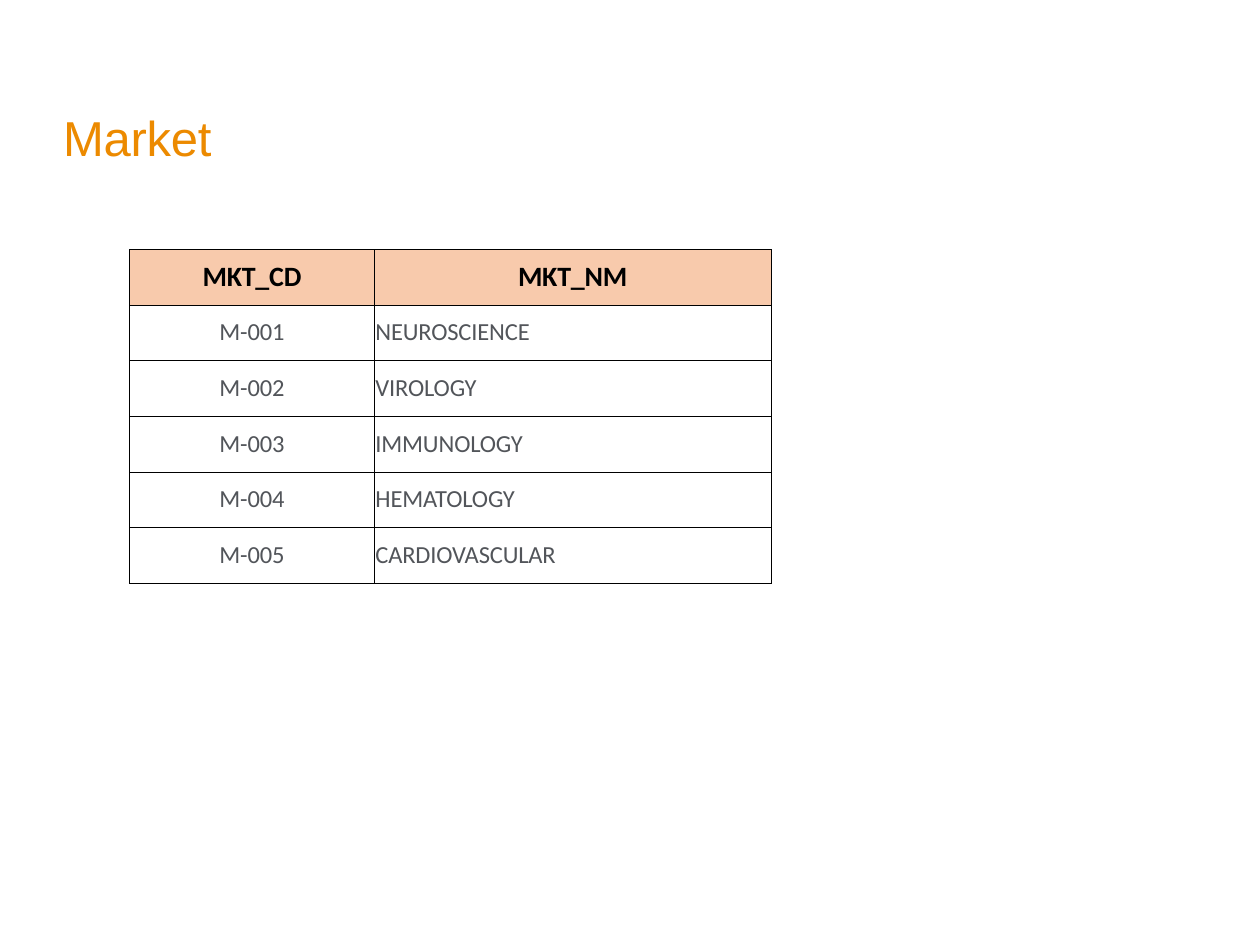
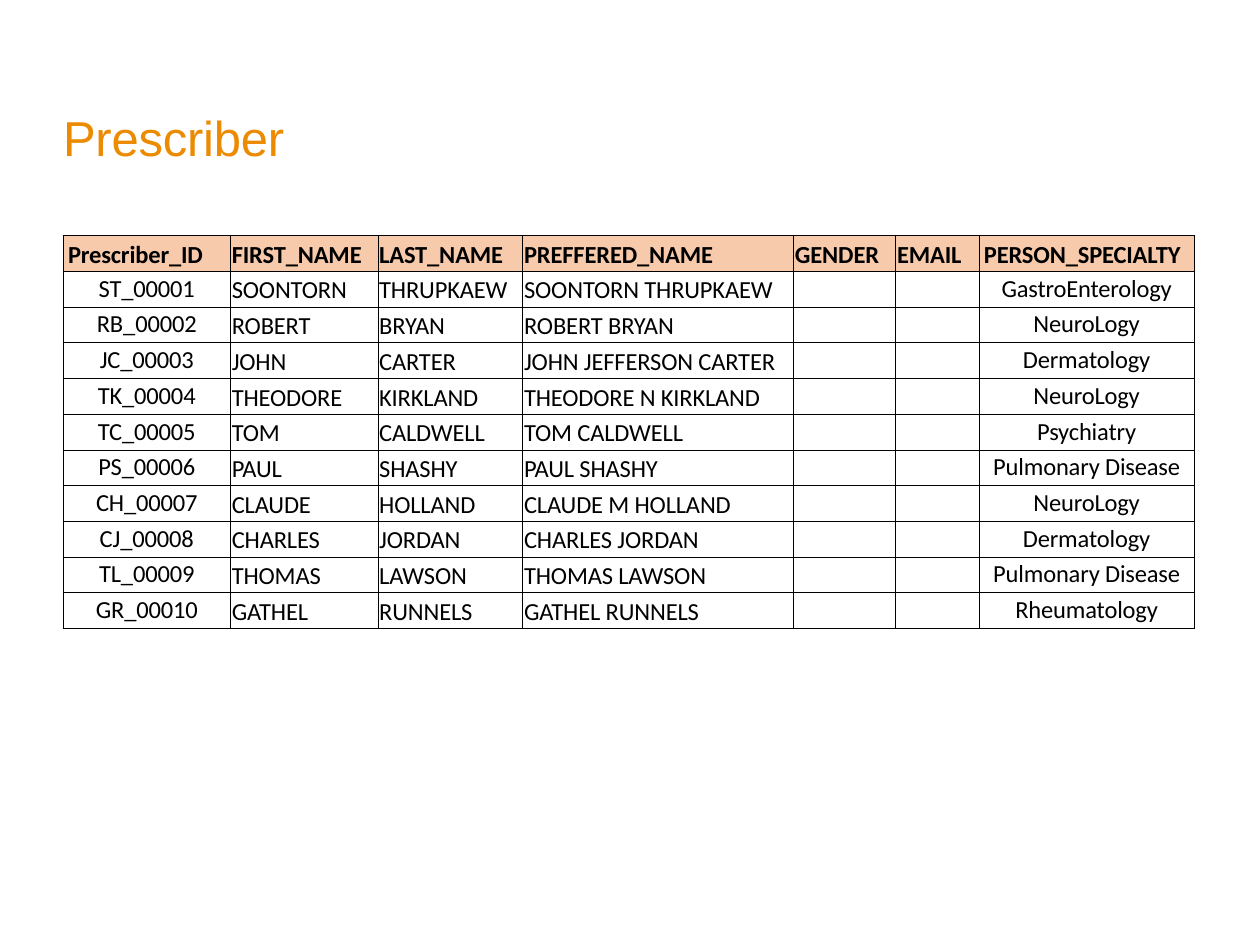
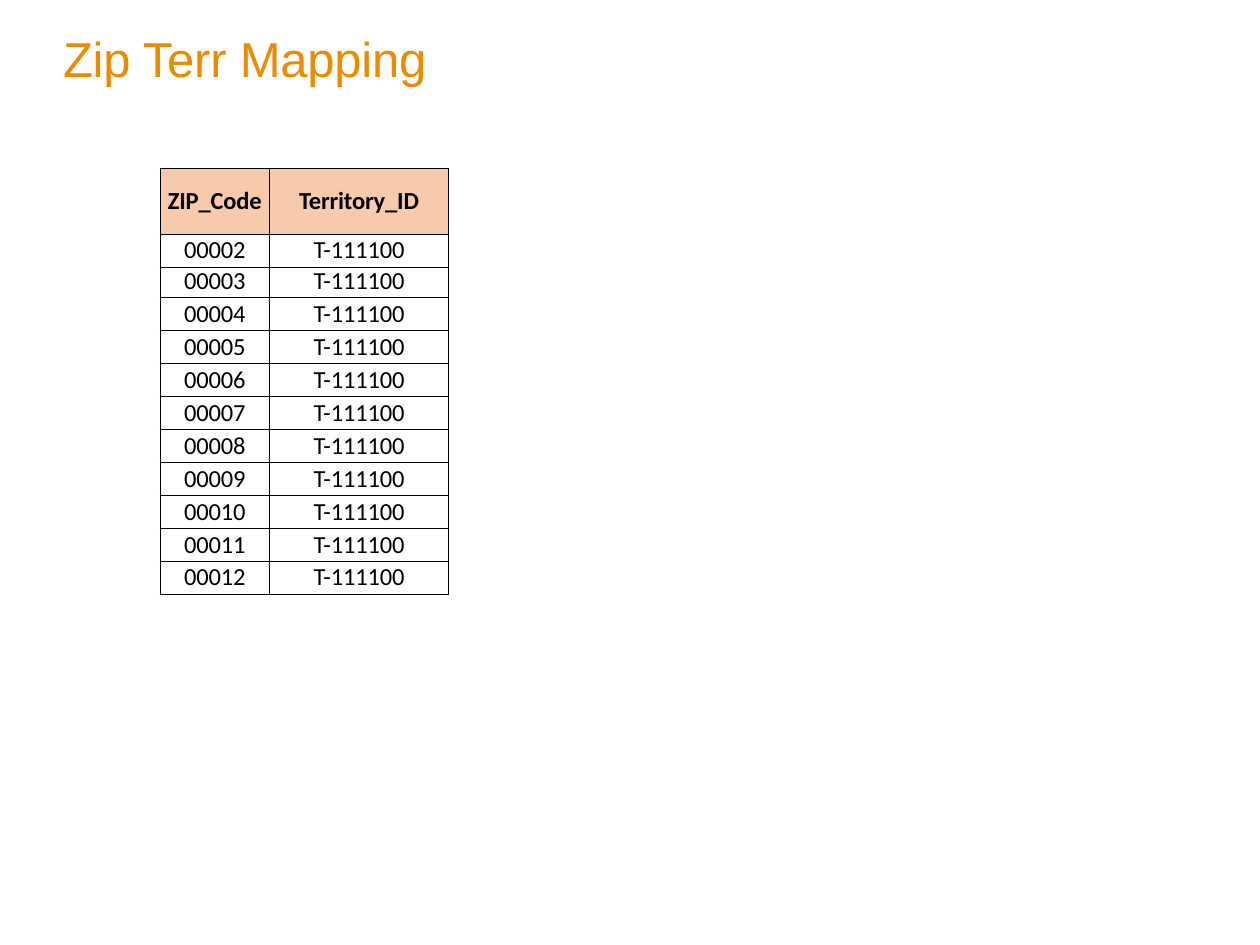
from dataclasses import dataclass, replace
from typing import Optional

from lxml import etree
from pptx import Presentation
from pptx.dml.color import RGBColor
from pptx.enum import text
from pptx.oxml.ns import qn
from pptx.util import Inches, Pt

COLORS = {
    "title": "EC8A00",
    "header": "F8CAAC",
    "cell": "FFFFFF",
    "border": "000000",
    "text": "000000",
    "muted": "52555A",
}
TITLE_ONLY = 5


@dataclass(frozen=True)
class CellStyle:
    top: float
    left: float = 0
    centered: bool = False
    size: int = 14
    color: str = "text"
    bold: bool = False
    fill: str = "cell"
    line_points: Optional[float] = None


class Deck:
    """Holds the shared style and the slide being filled."""

    title_font = "Arial"
    table_font = "Calibri"

    def __init__(self):
        self.presentation = Presentation()
        self.presentation.slide_width = Inches(10)
        self.presentation.slide_height = Inches(7.5)
        self.slide = None

    def color(self, name):
        return RGBColor.from_string(COLORS[name])

    def format_runs(self, paragraph, font, size, color, bold=False):
        for run in paragraph.runs:
            run.font.name = font
            run.font.size = Pt(size)
            run.font.bold = bold
            run.font.color.rgb = self.color(color)
            run.font._element.set("spc", "-10")

    def add_slide(self, title, box=(0.38, 0.45, 5.03, 0.88), left=0.12, top=0.4):
        layout = self.presentation.slide_layouts[TITLE_ONLY]
        self.slide = self.presentation.slides.add_slide(layout)
        shape = self.slide.shapes.title
        shape.left, shape.top, shape.width, shape.height = map(Inches, box)
        frame = shape.text_frame
        frame.text = title
        frame.word_wrap = True
        frame.auto_size = text.MSO_AUTO_SIZE.SHAPE_TO_FIT_TEXT
        frame.vertical_anchor = text.MSO_ANCHOR.TOP
        frame.margin_left, frame.margin_top = Inches(left), Inches(top)
        frame.margin_right = frame.margin_bottom = 0
        paragraph = frame.paragraphs[0]
        paragraph.alignment = text.PP_ALIGN.LEFT
        self.format_runs(paragraph, self.title_font, 28, "title")

    def add_borders(self, cell):
        properties = cell._tc.get_or_add_tcPr()
        for side in ("a:lnL", "a:lnR", "a:lnT", "a:lnB"):
            line = etree.SubElement(properties, qn(side), w=str(Pt(0.5)))
            fill = etree.SubElement(line, qn("a:solidFill"))
            etree.SubElement(fill, qn("a:srgbClr"), val=COLORS["border"])

    def fill_cell(self, cell, content, style):
        self.add_borders(cell)
        cell.fill.solid()
        cell.fill.fore_color.rgb = self.color(style.fill)
        cell.margin_left, cell.margin_top = Inches(style.left), Inches(style.top)
        cell.margin_right = cell.margin_bottom = 0
        cell.vertical_anchor = text.MSO_ANCHOR.TOP
        cell.text_frame.text = content
        paragraph = cell.text_frame.paragraphs[0]
        paragraph.alignment = (
            text.PP_ALIGN.CENTER if style.centered else text.PP_ALIGN.LEFT
        )
        if style.line_points:
            paragraph.line_spacing = Pt(style.line_points)
        self.format_runs(
            paragraph, self.table_font, style.size, style.color, style.bold
        )
        if not content:
            etree.SubElement(
                paragraph._p, qn("a:endParaRPr"), sz=str(style.size * 100)
            )

    def add_table(self, position, height, widths, rows, header, body,
                  row_styles=None, fixed_heights=None):
        """Style by column; rows without a fixed height share what is left."""
        row_styles = row_styles or {}
        fixed_heights = fixed_heights or {}
        left, top = position
        table = self.slide.shapes.add_table(
            len(rows), len(widths), Inches(left), Inches(top),
            Inches(sum(widths)), Inches(height),
        ).table
        table.first_row = table.horz_banding = False
        for column, width in zip(table.columns, widths):
            column.width = Inches(width)
        free_height = height - sum(fixed_heights.values())
        shared = free_height / (len(rows) - len(fixed_heights))
        for index, values in enumerate(rows):
            table.rows[index].height = Inches(fixed_heights.get(index, shared))
            styles = row_styles.get(index, body if index else header)
            for column, (value, style) in enumerate(zip(values, styles)):
                self.fill_cell(table.cell(index, column), value, style)


def add_market(deck):
    deck.add_slide("Market")
    names = ["NEUROSCIENCE", "VIROLOGY", "IMMUNOLOGY", "HEMATOLOGY", "CARDIOVASCULAR"]
    rows = [("MKT_CD", "MKT_NM")]
    rows += [(f"M-{number:03}", name) for number, name in enumerate(names, 1)]
    header = CellStyle(0.08, centered=True, size=16, bold=True, fill="header")
    code = CellStyle(0.1, centered=True, color="muted")
    name = replace(code, centered=False, left=0.01)
    deck.add_table((1.03, 1.98), 2.65, [1.94, 3.15], rows, [header] * 2, [code, name])


def add_prescriber(deck):
    deck.add_slide("Prescriber")
    people = [
        ("ST", "SOONTORN", "", "THRUPKAEW", "GastroEnterology"),
        ("RB", "ROBERT", "", "BRYAN", "NeuroLogy"),
        ("JC", "JOHN", "JEFFERSON", "CARTER", "Dermatology"),
        ("TK", "THEODORE", "N", "KIRKLAND", "NeuroLogy"),
        ("TC", "TOM", "", "CALDWELL", "Psychiatry"),
        ("PS", "PAUL", "", "SHASHY", "Pulmonary Disease"),
        ("CH", "CLAUDE", "M", "HOLLAND", "NeuroLogy"),
        ("CJ", "CHARLES", "", "JORDAN", "Dermatology"),
        ("TL", "THOMAS", "", "LAWSON", "Pulmonary Disease"),
        ("GR", "GATHEL", "", "RUNNELS", "Rheumatology"),
    ]
    rows = [("Prescriber_ID", "FIRST_NAME", "LAST_NAME", "PREFFERED_NAME",
             "GENDER", "EMAIL", "PERSON_SPECIALTY")]
    for number, (initials, first, middle, last, specialty) in enumerate(people, 1):
        preferred = " ".join(filter(None, (first, middle, last)))
        rows.append((f"{initials}_{number:05}", first, last, preferred,
                     "", "", specialty))
    plain = CellStyle(0.04, left=0.01, line_points=16.6)
    header = replace(plain, bold=True, fill="header")
    outer_header = replace(header, left=0.04)
    outer = CellStyle(0.02, centered=True)
    deck.add_table(
        (0.5, 1.87), 3.12, [1.33, 1.17, 1.15, 2.15, 0.81, 0.66, 1.71], rows,
        [outer_header, *[header] * 5, outer_header],
        [outer, *[plain] * 5, outer],
    )


def add_zip_mapping(deck):
    deck.add_slide("Zip Terr Mapping", (0.49, 0.22, 2.94, 0.49), 0.01, 0.01)
    rows = [("ZIP_Code", "Territory_ID")]
    rows += [(f"{code:05}", "T-111100") for code in range(2, 13)]
    header = CellStyle(0.14, centered=True, bold=True, fill="header")
    body = CellStyle(0.01, centered=True)
    tight = replace(body, top=0, line_points=16.4)
    deck.add_table(
        (1.27, 1.34), 3.38, [0.87, 1.42], rows, [header] * 2, [body] * 2,
        row_styles={2: [tight] * 2}, fixed_heights={0: 0.52, 2: 0.24},
    )


def main():
    deck = Deck()
    add_market(deck)
    add_prescriber(deck)
    add_zip_mapping(deck)
    deck.presentation.save("out.pptx")


if __name__ == "__main__":
    main()
